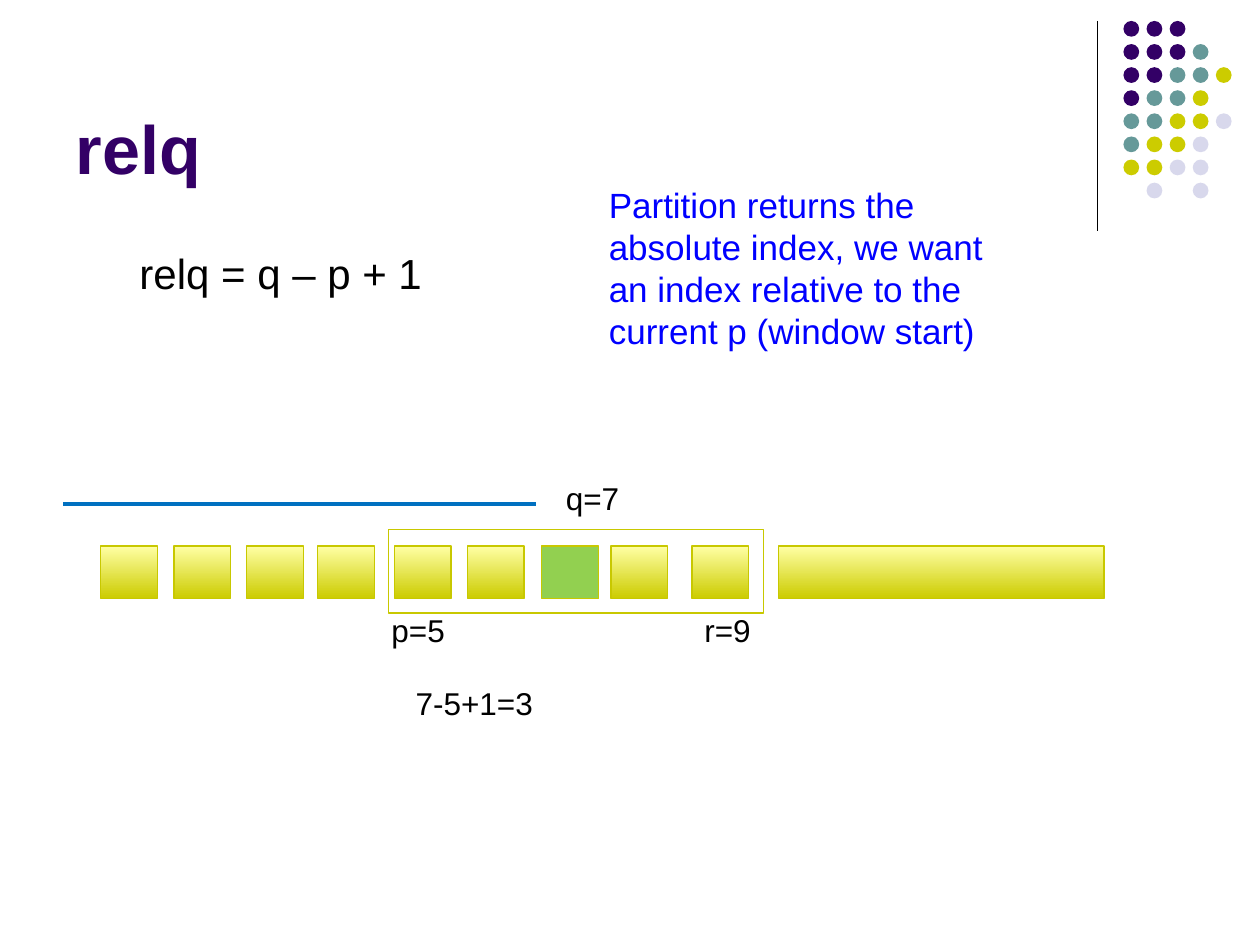
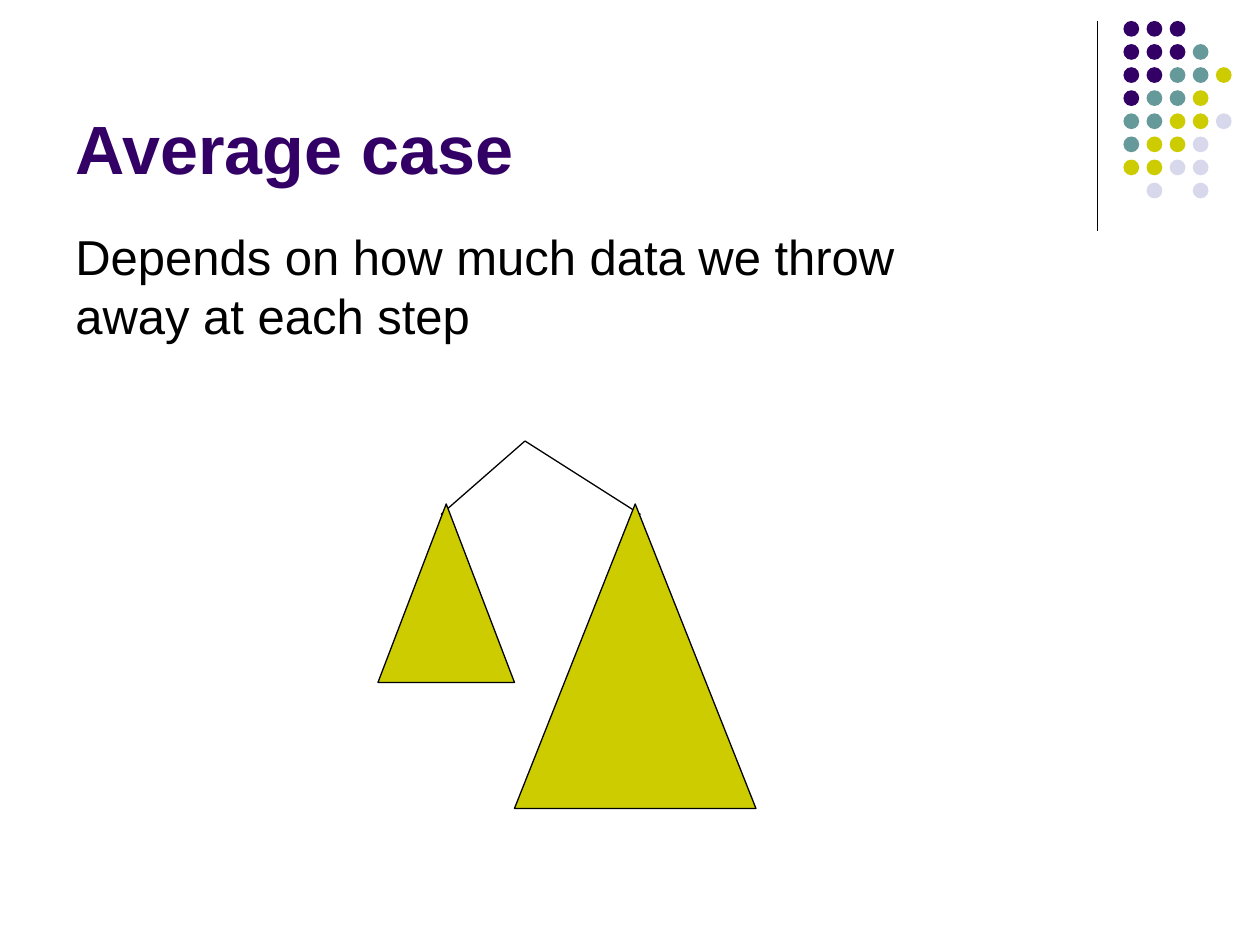
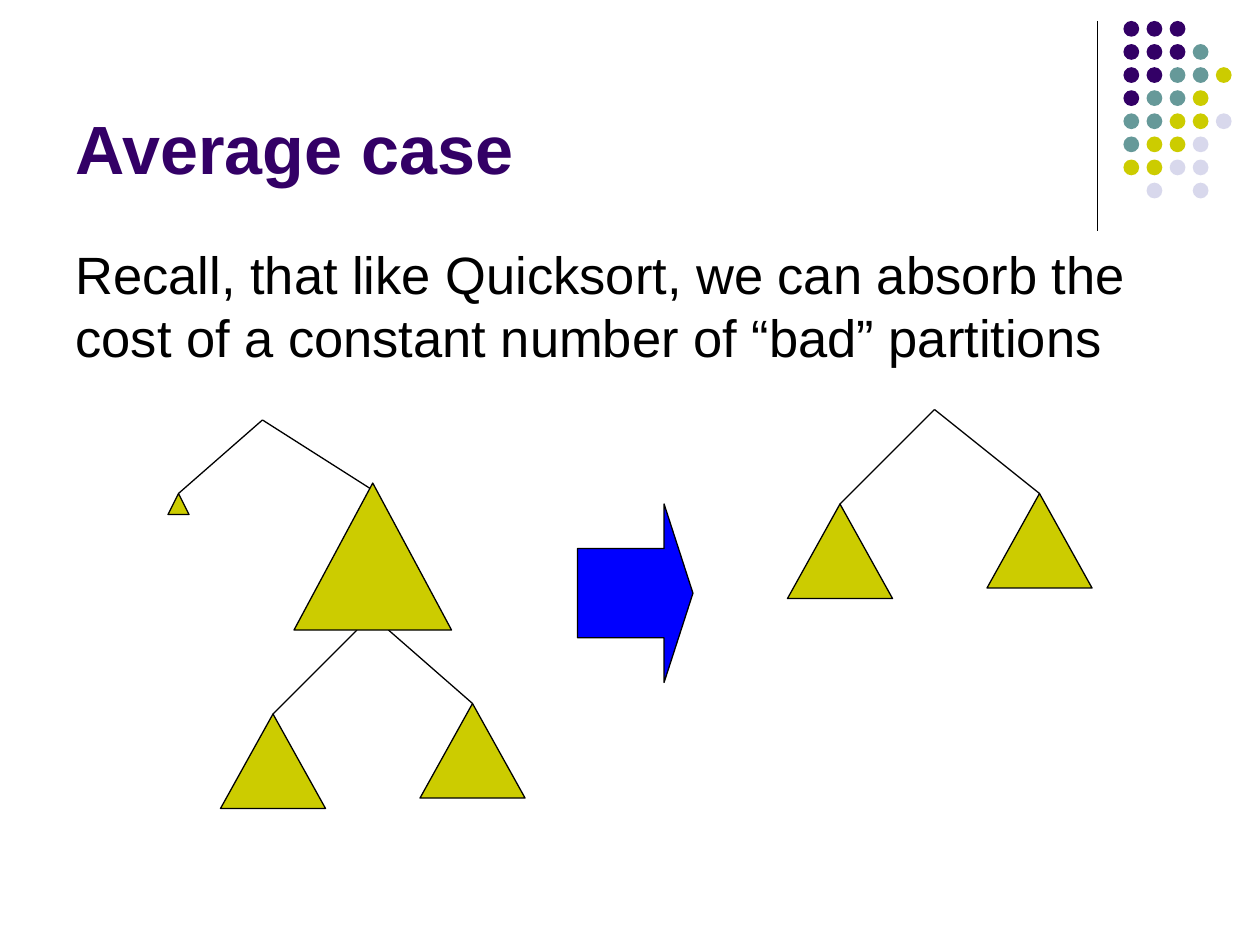
from lxml import etree
from pptx import Presentation
from pptx.dml.color import RGBColor
from pptx.enum.shapes import MSO_CONNECTOR, MSO_SHAPE
from pptx.enum.text import MSO_ANCHOR, PP_ALIGN
from pptx.oxml.ns import qn
from pptx.util import Inches, Pt

RECT, OVAL = MSO_SHAPE.RECTANGLE, MSO_SHAPE.OVAL
TREE, ARROW = MSO_SHAPE.ISOSCELES_TRIANGLE, MSO_SHAPE.RIGHT_ARROW
LINE, LEFT, BOTTOM = MSO_CONNECTOR.STRAIGHT, PP_ALIGN.LEFT, MSO_ANCHOR.BOTTOM

THEME = {
    "font": "Arial", "title": 39, "lead": 30, "body": 28, "rule": 24, "note": 20, "tag": 18,
    "ink": "000000", "plum": "330066", "teal": "669999", "lime": "CCCC00", "mist": "D8D8EC",
    "pale": "FFFFA5", "edge": "C8C800", "green": "92D050", "blue": "0000FF", "azure": "0070C0",
}
UNIT = Inches(1) / 12  # the slide is a grid of 120 columns by 90 rows


def put(shapes, kind, box, fill=None, edge=None):
    """Add a preset shape; fill is a colour name, a pair for an upward blend, or None."""
    shape = shapes.add_shape(kind, *[round(n * UNIT) for n in box])
    shape.shadow.inherit = False
    if isinstance(fill, tuple):
        shape.fill.gradient()
        shape.fill.gradient_angle = 90
        for stop, name in zip(shape.fill.gradient_stops, fill):
            stop.color.rgb = RGBColor.from_string(THEME[name])
    elif fill:
        shape.fill.solid()
        shape.fill.fore_color.rgb = RGBColor.from_string(THEME[fill])
    else:
        shape.fill.background()
    if edge:
        shape.line.color.rgb = RGBColor.from_string(THEME[edge])
        shape.line.width = Pt(0.75)
    else:
        shape.line.fill.background()
    return shape


def link(shapes, ends, hue="ink", width=0.75):
    line = shapes.add_connector(LINE, *[round(n * UNIT) for n in ends])
    line.line.color.rgb = RGBColor.from_string(THEME[hue])
    line.line.width = Pt(width)
    etree.SubElement(line.element.spPr, qn("a:effectLst"))


# Each text: words, box, size, colour, wrap
PAGES = [
    ("relq", [
        ("relq = q – p + 1", (12.1, 23, 29.6, 6), "rule", "ink", False),
        ("p=5", (36.1, 57.6, 9.8, 4.8), "tag", "ink", True),
        ("r=9", (65.9, 57.6, 6.8, 4.8), "tag", "ink", False),
        ("q=7", (52.7, 45, 7.6, 4.8), "tag", "ink", False),
        ("7-5+1=3", (38.4, 64.6, 19.6, 4.8), "tag", "ink", True),
        ("Partition returns the absolute index, we want an index relative "
         "to the current p (window start)", (56.8, 16.9, 41, 17.4), "note", "blue", True),
    ]),
    ("Average case", [
        ("Depends on how much data we throw away at each step",
         (6, 21, 92, 21), "body", "ink", True),
    ]),
    ("Average case", [
        ("Recall, that like Quicksort, we can absorb the cost of a constant "
         "number of “bad” partitions", (6, 22.5, 108, 14.4), "lead", "ink", True),
    ]),
]

deck = Presentation()
deck.slide_width, deck.slide_height = Inches(10), Inches(7.5)
layout = deck.slide_layouts[5]
slides = []

for head, texts in PAGES:
    slide = deck.slides.add_slide(layout)
    slides.append(slide)
    title = slide.shapes.title
    title.left, title.top, title.width, title.height = [
        round(n * UNIT) for n in (6, 1.5, 99, 17)]
    title.text_frame.vertical_anchor = BOTTOM
    items = [(title, head, "title", "plum", True)]
    for words, box, size, hue, wrap in texts:
        area = slide.shapes.add_textbox(*[round(n * UNIT) for n in box])
        items.append((area, words, size, hue, wrap))
    for area, words, size, hue, wrap in items:
        area.text_frame.word_wrap = wrap
        para = area.text_frame.paragraphs[0]
        para.text = words
        para.alignment = LEFT
        look = {"name": THEME["font"], "size": Pt(THEME[size]), "bold": area is title}
        for key, value in look.items():
            setattr(para.font, key, value)
        para.font.color.rgb = RGBColor.from_string(THEME[hue])

# Corner dots and upright line, built once and moved to the shared layout
DOTS = ["PPP", "PPPT", "PPTTY", "PTTY", "TTYYL", "TYYL", "YYLL", " L L"]
HUES = {"P": "plum", "T": "teal", "Y": "lime", "L": "mist"}
corner = slides[0].shapes.add_group_shape()
link(corner.shapes, (104.5, 2, 104.5, 22))
for row, marks in enumerate(DOTS):
    for col, mark in enumerate(marks):
        if mark in HUES:
            put(corner.shapes, OVAL, (107 + 2.2 * col, 2 + 2.2 * row, 1.5, 1.5), HUES[mark])
layout.shapes.element.append(corner.element)

# Slide 1: the array with its window p..r and pivot q
shapes = slides[0].shapes
BLEND = ("lime", "pale")
CELLS = [9.6, 16.56, 23.5, 30.24, 37.56, 44.5, 51.6, 58.2, 65.9]
PIVOT = 7
link(shapes, (6, 48, 51, 48), "azure", 2)
put(shapes, RECT, (74.16, 52, 31, 5), BLEND, "edge")
for index, left in enumerate(CELLS, 1):
    put(shapes, RECT, (left, 52, 5.4, 5), "green" if index == PIVOT else BLEND, "edge")
put(shapes, RECT, (37, 50.4, 35.75, 8), None, "edge")

# Slides 2 and 3: branches first, subtrees on top
BRANCHES = [
    (1, [(50, 42, 42, 49), (61, 49, 50, 42)]),
    (2, [(25, 40, 17, 47), (36, 47, 25, 40), (26, 68, 34, 60), (45, 67, 37, 60),
         (80, 48, 89, 39), (99, 47, 89, 39)]),
]
TREES = [
    (1, [(36, 48, 13, 17), (49, 48, 23, 29)]),
    (2, [(16, 47, 2, 2), (28, 46, 15, 14), (21, 68, 10, 9), (40, 67, 10, 9),
         (75, 48, 10, 9), (94, 47, 10, 9)]),
]
for page, lines in BRANCHES:
    for ends in lines:
        link(slides[page].shapes, ends)
for page, boxes in TREES:
    for box in boxes:
        put(slides[page].shapes, TREE, box, "lime", "ink")
arrow = put(slides[2].shapes, ARROW, (55, 48, 11, 17), "blue", "ink")
arrow.adjustments[0], arrow.adjustments[1] = 0.5, 0.25

deck.save("out.pptx")
